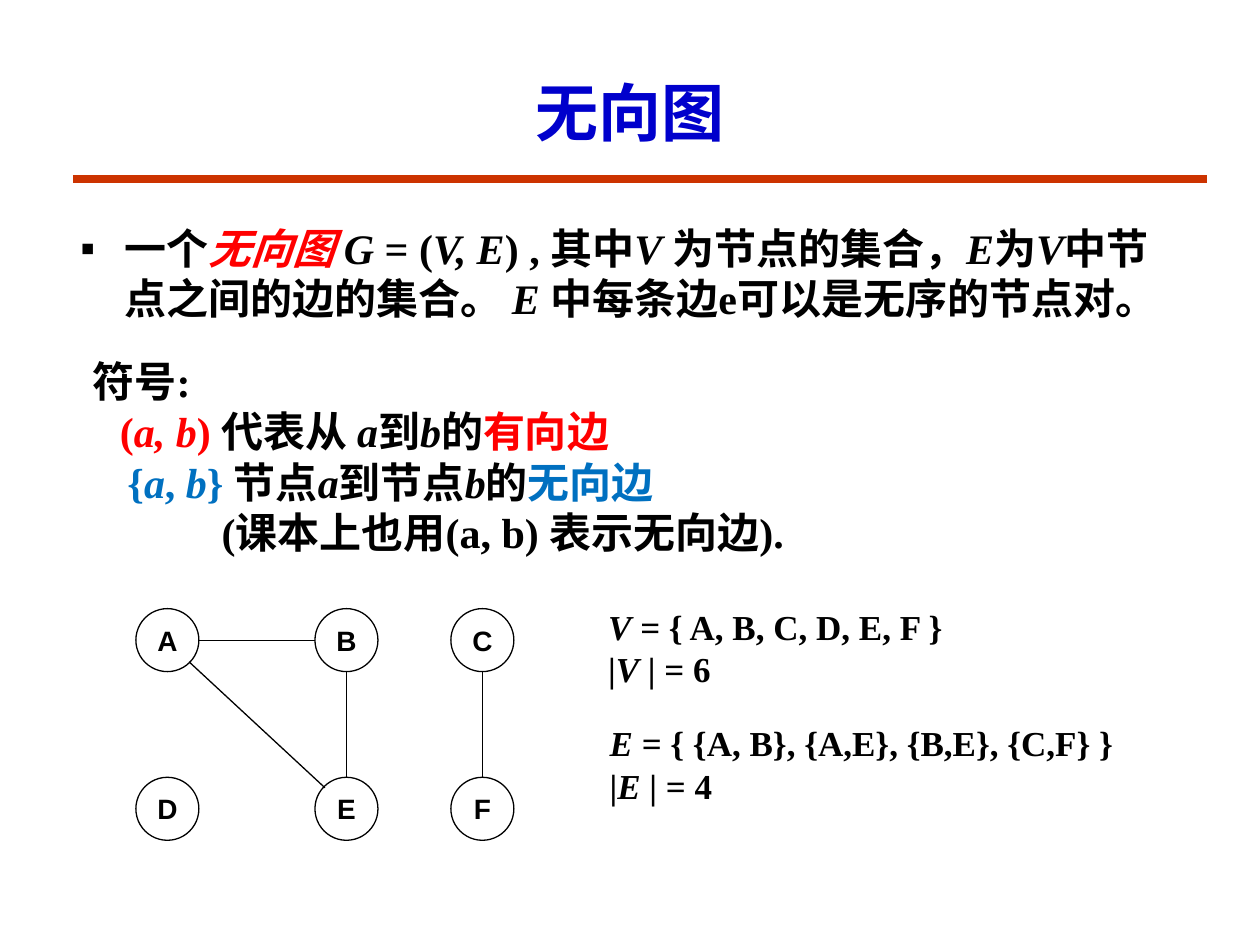
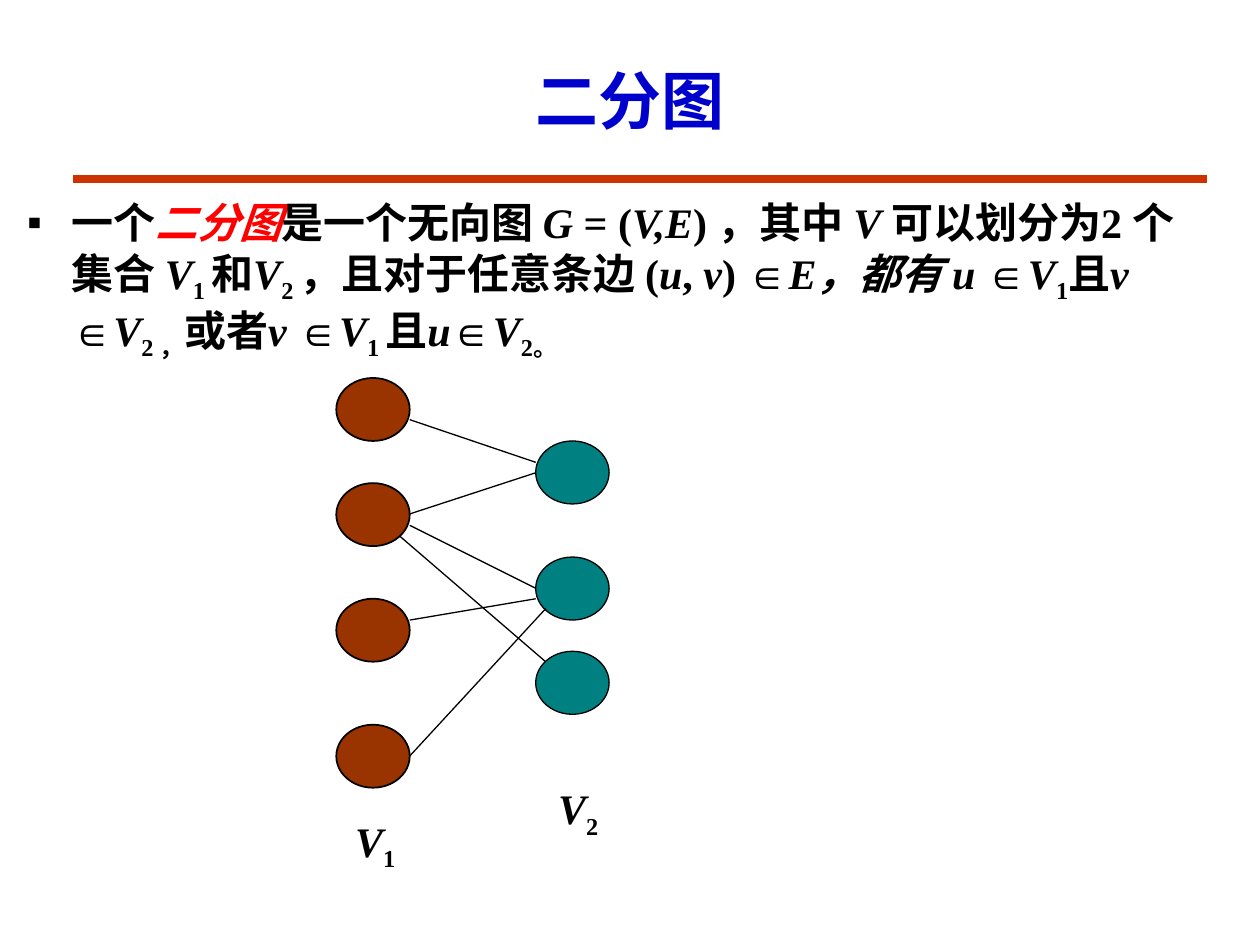
from dataclasses import dataclass
from itertools import groupby

import pptx
import pptx.dml.color
import pptx.enum.shapes
import pptx.enum.text
import pptx.oxml
import pptx.oxml.ns
import pptx.util

Cm = pptx.util.Cm
Pt = pptx.util.Pt
ALIGN = pptx.enum.text.PP_ALIGN
ANCHOR = pptx.enum.text.MSO_ANCHOR


def rgb(code):
    return pptx.dml.color.RGBColor.from_string(code)


@dataclass
class Theme:
    serif: str = "Times New Roman"
    sans: str = "Arial"
    ink: str = "000000"
    title: str = "0000CC"
    band: str = "CC3300"
    red: str = "FF0000"
    blue: str = "0070C0"
    left: str = "993300"
    right: str = "008080"
    head: int = 36
    body: int = 24
    note: int = 20
    label: int = 16
    thin: float = 0.75
    thick: float = 4.5


def chunks(text):
    """Yield (words, marks): _ toggles italic, ^ subscript, # red, ~ blue."""
    marks, chars = frozenset(), []
    for char in text:
        if char in "_^#~":
            marks = marks ^ {char}
        else:
            chars.append((char, marks))
    for marks, group in groupby(chars, key=lambda pair: pair[1]):
        yield "".join(char for char, _ in group), marks


@dataclass
class Deck:
    prs: object
    theme: Theme
    slide: object = None

    def start(self, title, top, height):
        """Add a slide with its title and the band below it."""
        look = self.theme
        self.slide = self.prs.slides.add_slide(self.prs.slide_layouts[6])
        self.line(1.47, 3.61, 24.33, 3.61, look.band, look.thick)
        self.text([title], 1.9, top, 21.6, height, look.head, color=look.title,
                  align=ALIGN.CENTER, anchor=ANCHOR.MIDDLE)

    def line(self, x1, y1, x2, y2, color=None, width=None):
        link = self.slide.shapes.add_connector(
            pptx.enum.shapes.MSO_CONNECTOR.STRAIGHT, Cm(x1), Cm(y1), Cm(x2), Cm(y2))
        link.line.color.rgb = rgb(color or self.theme.ink)
        link.line.width = Pt(width or self.theme.thin)
        link._element.spPr.append(pptx.oxml.parse_xml(
            f'<a:effectLst {pptx.oxml.ns.nsdecls("a")}/>'))

    def add_runs(self, para, text, size, font=None, color=None):
        look = self.theme
        for words, marks in chunks(text):
            run = para.add_run()
            run.text = words
            style = {"name": font or look.serif, "size": Pt(size),
                     "bold": True, "italic": "_" in marks}
            for key, value in style.items():
                setattr(run.font, key, value)
            shade = look.red if "#" in marks else look.blue if "~" in marks else color
            run.font.color.rgb = rgb(shade or look.ink)
            if "^" in marks:
                run.font._element.set("baseline", "-25000")

    def text(self, lines, x, y, width, height, size, color=None,
             align=ALIGN.LEFT, anchor=ANCHOR.TOP, indents=()):
        box = self.slide.shapes.add_textbox(Cm(x), Cm(y), Cm(width), Cm(height))
        frame = box.text_frame
        for key, value in {"word_wrap": True, "vertical_anchor": anchor}.items():
            setattr(frame, key, value)
        for i, words in enumerate(lines):
            para = frame.add_paragraph() if i else frame.paragraphs[0]
            para.alignment = align
            if indents:
                para._p.get_or_add_pPr().set("marL", str(Cm(indents[i])))
            self.add_runs(para, words, size, color=color)
        return frame

    def point(self, words, x, y, width):
        """Add one bulleted paragraph with a hanging indent."""
        frame = self.text([words], x, y, width, 3.38, self.theme.body,
                          anchor=ANCHOR.MIDDLE, indents=[0.89])
        props = frame.paragraphs[0]._p.get_or_add_pPr()
        props.set("indent", str(Cm(-0.89)))
        space = pptx.oxml.ns.nsdecls("a")
        for tag in (f'<a:buFont {space} typeface="{self.theme.sans}"/>',
                    f'<a:buChar {space} char="▪"/>'):
            props.append(pptx.oxml.parse_xml(tag))

    def node(self, x, y, width, fill=None, label="", edge=None):
        dot = self.slide.shapes.add_shape(
            pptx.enum.shapes.MSO_SHAPE.OVAL, Cm(x), Cm(y), Cm(width), Cm(1.27))
        dot.shadow.inherit = False
        if fill:
            dot.fill.solid()
            dot.fill.fore_color.rgb = rgb(fill)
        else:
            dot.fill.background()
        dot.line.color.rgb = rgb(self.theme.ink)
        dot.line.width = Pt(edge or self.theme.thin)
        if label:
            frame = dot.text_frame
            for side in ("left", "right", "top", "bottom"):
                setattr(frame, f"margin_{side}", 0)
            frame.vertical_anchor = ANCHOR.MIDDLE
            para = frame.paragraphs[0]
            para.alignment = ALIGN.CENTER
            self.add_runs(para, label, self.theme.label, self.theme.sans)


def plain(deck):
    """Slide on the undirected graph."""
    look = deck.theme
    deck.start("无向图", 1.07, 2.34)
    deck.point("一个#_无向图 #G_ = (_V, E_) , 其中_V _为节点的集合，_E_为_V_"
               "中节点之间的边的集合。 _E _中每条边e可以是无序的节点对。",
               1.37, 3.81, 22.66)
    deck.text(["符号:",
               "#(_a, b_) #代表从 _a_到_b_的#有向边#",
               "~{_a_, _b_} ~节点_a_到节点_b_的~无向边~",
               "(课本上也用(a, b) 表示无向边)."],
              1.07, 7.19, 23.29, 4.01, look.body, anchor=ANCHOR.MIDDLE,
              indents=[0.55, 1.1, 1.25, 3.15])

    cols, rows, size = (2.74, 6.35, 9.09), (12.27, 15.67), 1.27
    half = size / 2
    for y, names in zip(rows, ("ABC", "DEF")):
        for x, name in zip(cols, names):
            deck.node(x, y, size, label=name)
    deck.line(cols[0] + size, rows[0] + half, cols[1], rows[0] + half)
    for x in cols[1:]:
        deck.line(x + half, rows[1], x + half, rows[0] + size)
    deck.line(3.81, 13.34, 6.55, 15.88)

    deck.text(["_V_ = { A, B, C, D, E, F }", "|_V_ | = 6"],
              12.01, 12.09, 7.32, 1.96, look.note)
    deck.text(["_E _= { {A, B}, {A,E}, {B,E}, {C,F} }", "|_E_ | = 4"],
              12.04, 14.43, 11.2, 1.96, look.note)


def parted(deck):
    """Slide on the bipartite graph."""
    look = deck.theme
    deck.start("二分图", 0.64, 2.74)
    deck.point("一个#_二分图_#是一个无向图 _G_ = (_V,E_) ，其中 _V _可以划分为2 个集合 "
               "_V_^1 ^和_V_^2 ^，且对于任意条边 (_u_, _v_) ∈_E，都有 u _∈_V_^1^"
               "且_v _∈_V_^2 ，^或者_v _∈_V_^1 ^且_u_∈_V_^2。^",
               0.3, 3.94, 24.41)

    for y in (7.62, 9.74, 12.07, 14.61):
        deck.node(6.78, y, 1.48, look.left, edge=1)
    for y in (8.89, 11.23, 13.13):
        deck.node(10.8, y, 1.48, look.right)
    for ends in ((8.26, 8.46, 10.8, 9.32), (8.26, 10.36, 10.8, 9.53),
                 (8.26, 10.59, 10.8, 11.86), (8.05, 10.8, 11, 13.34),
                 (8.26, 12.5, 10.8, 12.07), (8.26, 15.24, 11, 12.27)):
        deck.line(*ends)
    for name, x, y in (("_V_^1^", 6.91, 16.31), ("_V_^2^", 11, 15.65)):
        deck.text([name], x, y, 1.8, 1.27, look.body)


def main():
    prs = pptx.Presentation()
    prs.slide_width, prs.slide_height = Cm(25.4), Cm(19.05)
    deck = Deck(prs, Theme())
    plain(deck)
    parted(deck)
    prs.save("out.pptx")


if __name__ == "__main__":
    main()
